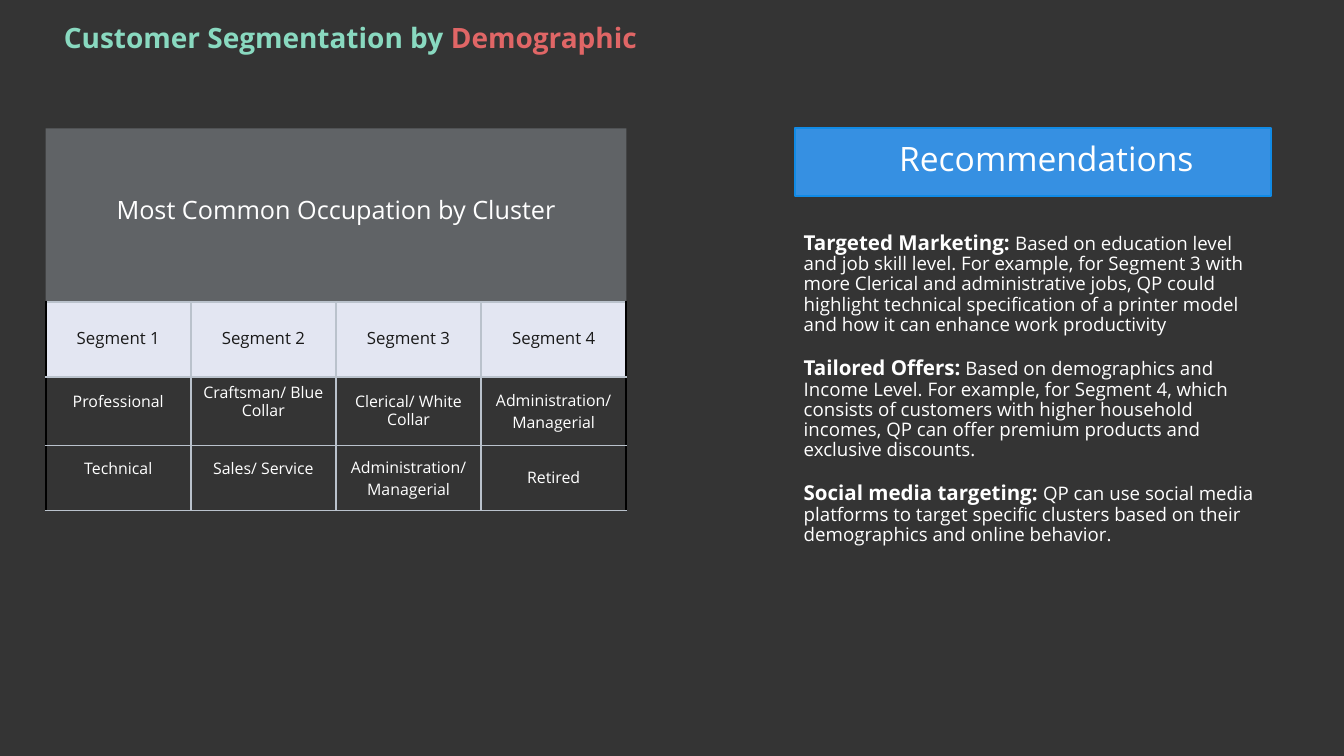
from pptx import Presentation
from pptx import util as u
from pptx.dml.color import RGBColor
from pptx.enum import shapes, text
from pptx.oxml import xmlchemy as xc
from lxml import etree
from pptx.oxml.ns import qn

FACE = "Open Sans"
WHITE = "FFFFFF"
GREY = "BAC2CC"
PALE = "E3E6F2"

HEADS = ["Segment 1", "Segment 2", "Segment 3", "Segment 4"]
JOBS = [
    ["Professional", "Craftsman/ Blue Collar", "Clerical/ White Collar", "Administration/\nManagerial"],
    ["Technical", "Sales/ Service", "Administration/\nManagerial", "Retired"],
]
RAISED = {(1, 0), (1, 1), (2, 0), (2, 1)}
ADVICE = [
    ("Targeted Marketing: ",
     "Based on education level and job skill level. For example, for Segment 3 with more Clerical "
     "and administrative jobs, QP could highlight technical specification of a printer model and "
     "how it can enhance work productivity"),
    ("Tailored Offers:",
     " Based on demographics and Income Level. For example, for Segment 4, which consists of "
     "customers with higher household incomes, QP can offer premium products and exclusive discounts."),
    ("Social media targeting: ",
     "QP can use social media platforms to target specific clusters based on their demographics "
     "and online behavior."),
]


def rgb(code):
    return RGBColor.from_string(code)


def style(font, size, color=WHITE, bold=False):
    font.name, font.size, font.bold = FACE, u.Pt(size), bold
    font.color.rgb = rgb(color)


def place(shape, left, top, width, height):
    shape.left, shape.top = u.Inches(left), u.Inches(top)
    shape.width, shape.height = u.Inches(width), u.Inches(height)


def prepare(shape, anchor):
    frame = shape.text_frame
    frame.margin_left = frame.margin_right = frame.margin_top = frame.margin_bottom = 0
    frame.word_wrap = True
    frame.auto_size = text.MSO_AUTO_SIZE.NONE
    frame.vertical_anchor = anchor
    return frame


def add_run(para, words, size, color=WHITE, bold=False):
    run = para.add_run()
    run.text = words
    style(run.font, size, color, bold)


def add_panel(slide, left, top, width, height, color):
    panel = slide.shapes.add_shape(shapes.MSO_SHAPE.RECTANGLE, *map(u.Inches, (left, top, width, height)))
    panel.shadow.inherit = False
    panel.fill.solid()
    panel.fill.fore_color.rgb = rgb(color)
    panel.line.fill.background()
    return panel


def add_label(slide, left, top, width, height, words, size, align):
    box = slide.shapes.add_textbox(*map(u.Inches, (left, top, width, height)))
    para = prepare(box, text.MSO_ANCHOR.MIDDLE).paragraphs[0]
    para.text = words
    para.alignment, para.line_spacing = align, 0.8
    style(para.font, size)


def set_edge(cell, side, color):
    line = etree.SubElement(cell._tc.get_or_add_tcPr(), qn("a:ln" + side), w=str(u.Pt(2)))
    fill = etree.SubElement(line, qn("a:solidFill"))
    etree.SubElement(fill, qn("a:srgbClr"), val=color)


def fill_cell(cell, words, row, col, last):
    for side in "LRTB":
        outer = (side == "L" and col == 0) or (side == "R" and col == last)
        set_edge(cell, side, "000000" if outer else GREY)
    if row == 0:
        cell.fill.solid()
        cell.fill.fore_color.rgb = rgb(PALE)
    else:
        cell.fill.background()
    cell.margin_left = cell.margin_right = cell.margin_top = cell.margin_bottom = u.Inches(0.05)
    if (row, col) in RAISED:
        cell.margin_bottom = u.Inches(0.32)
    cell.vertical_anchor = text.MSO_ANCHOR.MIDDLE
    cell.text = words
    for para in cell.text_frame.paragraphs:
        para.alignment = text.PP_ALIGN.CENTER
        para.line_spacing = 1.0 if "\n" in words else 0.8
        style(para.font, 17 if row else 18, WHITE if row else "1A1A1A")


def add_jobs(slide, left, top, width):
    head = 2.58
    panel = add_panel(slide, left, top, width, head, "CED8E2")
    tint = panel.fill._xPr.find(qn("a:solidFill"))[0]
    etree.SubElement(tint, qn("a:alpha"), val="29000")
    add_label(slide, left + 0.78, top + 0.96, width - 1.56, 0.59,
              "Most Common Occupation by Cluster", 27, text.PP_ALIGN.CENTER)

    grid = [HEADS] + JOBS
    heights = [1.12, 1.02, 0.97]
    count = len(HEADS)
    table = slide.shapes.add_table(len(grid), count, u.Inches(left), u.Inches(top + head),
                                   u.Inches(width), u.Inches(sum(heights))).table
    table.first_row = table.horz_banding = False
    for row, (names, height) in enumerate(zip(grid, heights)):
        table.rows[row].height = u.Inches(height)
        for col, words in enumerate(names):
            fill_cell(table.cell(row, col), words, row, col, count - 1)


def add_advice(slide, left, top, width):
    banner = add_panel(slide, left, top, width, 1.01, "3690E2")
    banner.line.color.rgb = rgb("118BE6")
    banner.line.width = u.Pt(2)
    add_label(slide, left + 1.55, top - 0.15, 5.08, 1.3, "Recommendations", 36, text.PP_ALIGN.LEFT)

    body = slide.placeholders[1]
    place(body, left + 0.13, top + 1.55, width - 0.24, 5.38)
    frame = prepare(body, text.MSO_ANCHOR.TOP)
    for order, (lead, rest) in enumerate(ADVICE):
        para = frame.add_paragraph() if order else frame.paragraphs[0]
        props = para._p.get_or_add_pPr()
        props.set("marL", "0")
        props.set("indent", "0")
        etree.SubElement(props, qn("a:buNone"))
        para.alignment, para.line_spacing = text.PP_ALIGN.LEFT, 0.9
        para.space_before = u.Pt(24 if order else 0)
        add_run(para, lead, 22, bold=True)
        add_run(para, rest, 20)


def add_title(slide, left, top, width):
    title = slide.shapes.title
    place(title, left, top, width, 1.01)
    para = prepare(title, text.MSO_ANCHOR.TOP).paragraphs[0]
    para.alignment = text.PP_ALIGN.LEFT
    add_run(para, "Customer Segmentation by ", 30, "89D9C0", True)
    add_run(para, "Demographic", 30, "E06666", True)


def main():
    deck = Presentation()
    deck.slide_width, deck.slide_height = u.Inches(20), u.Inches(11.25)
    slide = deck.slides.add_slide(deck.slide_layouts[1])
    slide.background.fill.solid()
    slide.background.fill.fore_color.rgb = rgb("343434")
    add_title(slide, 0.95, 0.3, 10.26)
    add_jobs(slide, 0.68, 1.91, 8.64)
    add_advice(slide, 11.83, 1.91, 7.08)
    deck.save("out.pptx")


if __name__ == "__main__":
    main()
